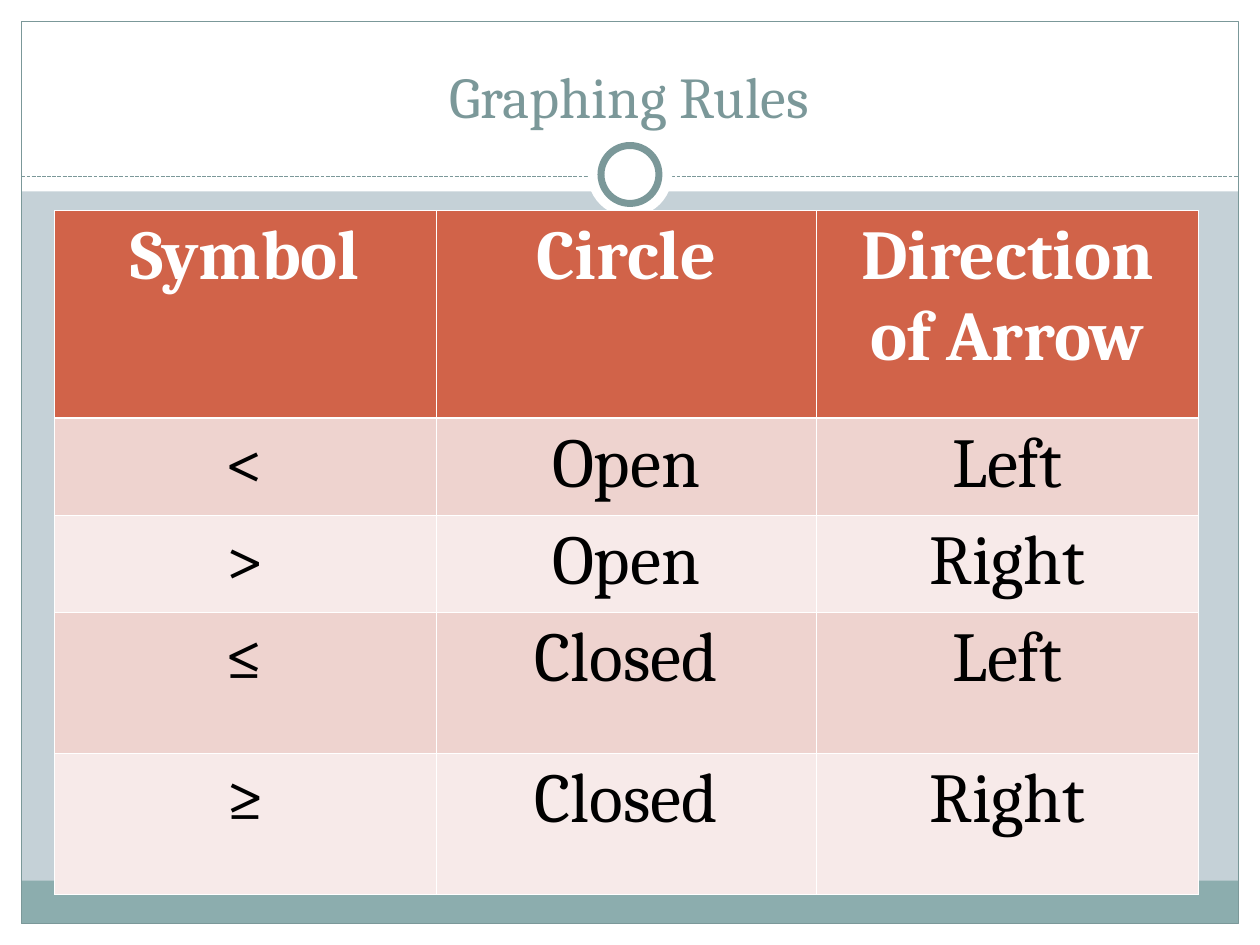
from dataclasses import dataclass

from lxml import etree
from pptx import Presentation
from pptx.dml.color import RGBColor
from pptx.enum.dml import MSO_LINE
from pptx.enum.shapes import MSO_CONNECTOR, MSO_SHAPE
from pptx.enum.text import MSO_ANCHOR, PP_ALIGN
from pptx.oxml.ns import qn
from pptx.util import Inches, Pt

RECT, OVAL = MSO_SHAPE.RECTANGLE, MSO_SHAPE.OVAL
LINE, DASH = MSO_CONNECTOR.STRAIGHT, MSO_LINE.SQUARE_DOT
CENTER, BOTTOM = PP_ALIGN.CENTER, MSO_ANCHOR.BOTTOM


@dataclass(frozen=True)
class Theme:
    """Colours, font and sizes of the slide."""
    back: str = "C5D1D7"
    white: str = "FFFFFF"
    black: str = "000000"
    slate: str = "7B9899"
    teal: str = "8CADAE"
    head: str = "D16349"
    bands: tuple = ("EED3CF", "F7EAE9")
    font: str = "Cambria"
    title: int = 33
    cell: int = 40
    hair: float = 0.75
    ring: float = 4
    grid: float = 0.45
    rule: float = 1.47


THEME = Theme()
ROWS = [
    ("Symbol", "Circle", "Direction of Arrow"),
    ("<", "Open", "Left"),
    (">", "Open", "Right"),
    ("≤", "Closed", "Left"),
    ("≥", "Closed", "Right"),
]
WIDTHS = (3.03, 3.02, 3.03)
HEIGHTS = (1.65, 0.77, 0.77, 1.12, 1.12)


def paint(fill, tint):
    """Give a fill one solid colour."""
    fill.solid()
    fill.fore_color.rgb = RGBColor.from_string(tint)


def stroke(line, width):
    """Set a slate line of the given width."""
    line.color.rgb = RGBColor.from_string(THEME.slate)
    line.width = Pt(width)


def add_form(slide, kind, box, fill=None, width=None):
    """Add a plain shape with an optional fill and outline."""
    form = slide.shapes.add_shape(kind, *map(Inches, box))
    form.shadow.inherit = False
    if fill:
        paint(form.fill, fill)
    else:
        form.fill.background()
    if width:
        stroke(form.line, width)
    else:
        form.line.fill.background()


def write(frame, text, size, tint, bold=False):
    """Put one centred paragraph in a text frame."""
    frame.word_wrap = True
    frame.text = text
    para = frame.paragraphs[0]
    para.alignment = CENTER
    font = para.runs[0].font
    font.name, font.size, font.bold = THEME.font, Pt(size), bold
    font.color.rgb = RGBColor.from_string(tint)


def add_frame(slide, box):
    """Draw the white margins, base band and outline in the box."""
    left, top, width, height = box
    edge, head, band = 0.17, 1.52, 0.34
    right, base = left + width - edge, top + height - edge
    for part in (
        (left, base, width, edge),
        (left, top, width, head),
        (left, top, edge, height),
        (right, top, edge, height),
    ):
        add_form(slide, RECT, part, THEME.white)
    inner = width - 2 * edge
    add_form(slide, RECT, (left + edge, base - band, inner, band), THEME.teal)
    add_form(slide, RECT, (left + edge, top + edge, inner, height - 2 * edge),
             width=THEME.hair)


def add_split(slide, box):
    """Draw the dashed line with a ring at the middle of the box."""
    left, top, width, height = box
    mid = top + height / 2
    rule = slide.shapes.add_connector(
        LINE, *map(Inches, (left, 1.4, left + width, 1.4)))
    stroke(rule.line, THEME.hair)
    rule.line.dash_style = DASH
    etree.SubElement(rule.element.spPr, qn("a:effectLst"))
    for size, edge in ((height, None), (0.46, THEME.ring)):
        place = (left + (width - size) / 2, mid - size / 2, size, size)
        add_form(slide, OVAL, place, THEME.white, edge)


def add_title(slide, box, text):
    """Write the title at the foot of the box."""
    frame = slide.shapes.add_textbox(*map(Inches, box)).text_frame
    write(frame, text, THEME.title, THEME.slate)
    frame.vertical_anchor = BOTTOM


def add_edge(cell, side, width):
    """Add one white border to a cell."""
    props = cell._tc.get_or_add_tcPr()
    edge = etree.SubElement(props, qn("a:ln" + side), w=str(int(Pt(width))))
    fill = etree.SubElement(edge, qn("a:solidFill"))
    etree.SubElement(fill, qn("a:srgbClr"), val=THEME.white)


def add_rules(slide, box):
    """Fill the box with the table of graphing rules."""
    shape = slide.shapes.add_table(len(ROWS), len(WIDTHS), *map(Inches, box))
    table = shape.table
    for col, width in zip(table.columns, WIDTHS):
        col.width = Inches(width)
    for row, height in zip(table.rows, HEIGHTS):
        row.height = Inches(height)
    for i, texts in enumerate(ROWS):
        first = i == 0
        tint = THEME.head if first else THEME.bands[(i - 1) % 2]
        ink = THEME.white if first else THEME.black
        edges = {"L": THEME.grid, "R": THEME.grid,
                 "T": THEME.rule if i == 1 else THEME.grid,
                 "B": THEME.rule if first else THEME.grid}
        for j, text in enumerate(texts):
            cell = table.cell(i, j)
            for side, width in edges.items():
                add_edge(cell, side, width)
            paint(cell.fill, tint)
            write(cell.text_frame, text, THEME.cell, ink, first)


def main():
    """Build and save the slide."""
    deck = Presentation()
    deck.slide_width, deck.slide_height = Inches(10), Inches(7.5)
    slide = deck.slides.add_slide(deck.slide_layouts[6])
    paint(slide.background.fill, THEME.back)
    add_frame(slide, (0, 0, 10, 7.5))
    add_split(slide, (0.17, 1.05, 9.66, 0.67))
    add_title(slide, (0.33, 0.25, 9.33, 0.83), "Graphing Rules")
    add_rules(slide, (0.43, 1.67, sum(WIDTHS), sum(HEIGHTS)))
    deck.save("out.pptx")


if __name__ == "__main__":
    main()
